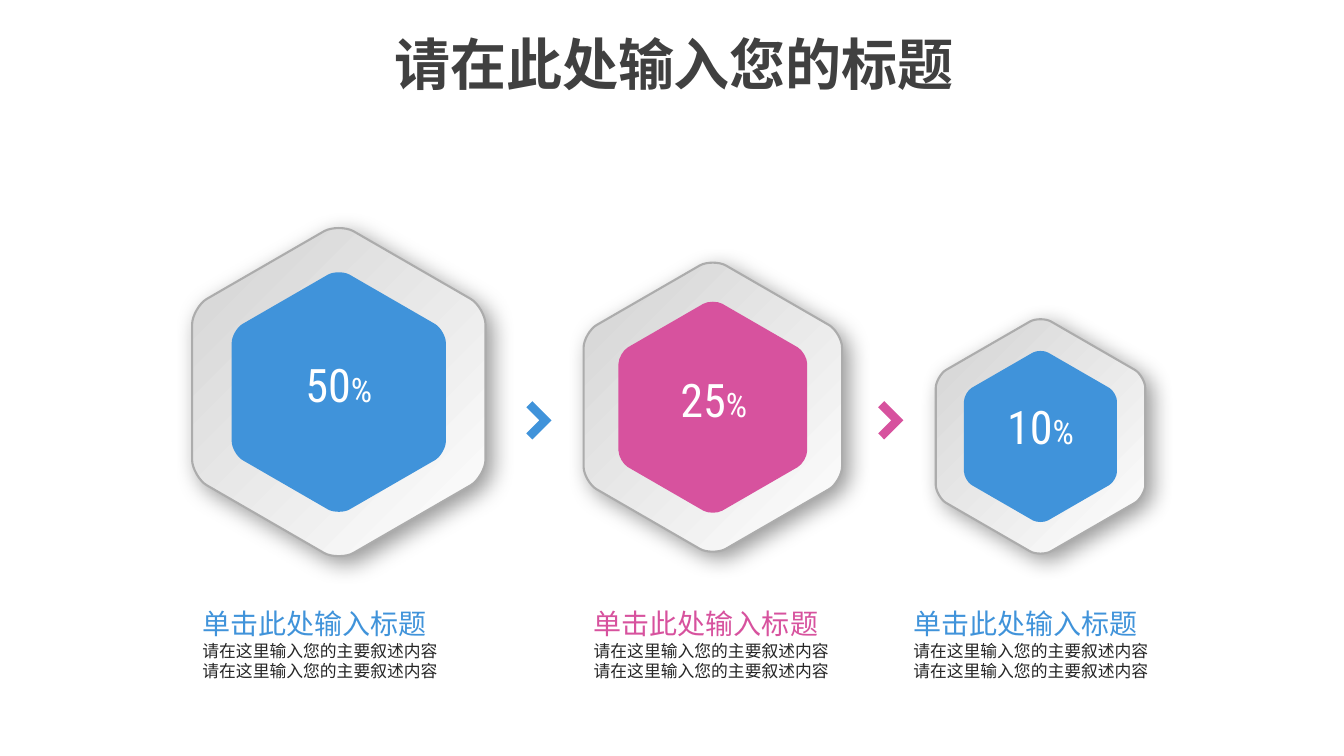
"""Three shrinking hexagons with percentages, chevrons and captions."""
from math import cos, radians, sin

from lxml import etree
from pptx import Presentation
from pptx import util as u
from pptx.dml.color import RGBColor
from pptx.enum import text
from pptx.oxml import ns

COLORS = {"blue": "4093DA", "pink": "D7529E", "title": "404040", "body": "262626",
          "white": "FFFFFF", "silver": "D3D3D3", "rim": "ACACAC", "shadow": "000000"}
CJK, LATIN = "Noto Sans CJK SC", "Roboto Condensed"
TITLE = "请在此处输入您的标题"
HEADING = "单击此处输入标题"
DETAIL = "请在这里输入您的主要叙述内容"
STAGES = [
    {"value": "25", "color": "pink", "center": (7.07, 4.04), "radius": 1.48, "label": (5.75, 3.63)},
    {"value": "10", "color": "blue", "center": (10.32, 4.33), "radius": 1.2, "label": (8.99, 3.9)},
    {"value": "50", "color": "blue", "center": (3.36, 3.89), "radius": 1.68, "label": (2.03, 3.49)},
]
CHEVRONS = [("blue", 5.22), ("pink", 8.71)]
CHEVRON_OUTLINE = [(0.25, 0), (0.06, -0.19), (0, -0.13), (0.13, 0), (0, 0.13), (0.06, 0.19)]
CHEVRON_MIDDLE = 4.17
INNER_SHARE = 0.73
CORNER_SHARE = 0.1
CAPTIONS = [("blue", 1.91), ("pink", 5.79), ("blue", 8.96)]
CAPTION_TOP = 5.97


def rgb(name):
    return RGBColor.from_string(COLORS[name])


def toward(start, end, share):
    return tuple(a + (b - a) * share for a, b in zip(start, end))


def add_outline(page, points, color):
    emu = [(u.Inches(x), u.Inches(y)) for x, y in points]
    builder = page.shapes.build_freeform(*emu[0])
    builder.add_line_segments(emu[1:], close=True)
    shape = builder.convert_to_shape()
    shape.shadow.inherit = False
    shape.fill.solid()
    shape.fill.fore_color.rgb = rgb(color)
    shape.line.fill.background()
    return shape


def add_hexagon(page, center, radius, color):
    """Draw a pointy-top hexagon whose corners are Bezier curves."""
    corners = [(center[0] + radius * cos(radians(60 * i - 90)),
                center[1] + radius * sin(radians(60 * i - 90))) for i in range(6)]
    points = []
    for i, corner in enumerate(corners):
        before, after = corners[i - 1], corners[(i + 1) % 6]
        points += [toward(corner, before, CORNER_SHARE), toward(corner, before, CORNER_SHARE / 2),
                   toward(corner, after, CORNER_SHARE / 2), toward(corner, after, CORNER_SHARE)]
    shape = add_outline(page, points, color)
    lines = list(shape.element.spPr.iter(ns.qn("a:lnTo")))
    for first in range(0, len(points) - 1, 4):
        curve = etree.Element(ns.qn("a:cubicBezTo"))
        lines[first].addprevious(curve)
        for line in lines[first:first + 3]:
            curve.append(line[0])
            line.getparent().remove(line)
    return shape


def style_rim(shape):
    shape.fill.gradient()
    shape.fill.gradient_angle = 315
    for stop, color, position in zip(shape.fill.gradient_stops, ("silver", "white"), (0, 1)):
        stop.color.rgb = rgb(color)
        stop.position = position
    shape.line.color.rgb = rgb("rim")
    shape.line.width = u.Pt(1.5)
    effects = shape.element.spPr.find(ns.qn("a:effectLst"))
    shadow = etree.SubElement(effects, ns.qn("a:outerShdw"), blurRad=str(u.Pt(16)),
                              dist=str(u.Pt(6)), dir=str(45 * 60000), algn="tl", rotWithShape="0")
    tint = etree.SubElement(shadow, ns.qn("a:srgbClr"), val=COLORS["shadow"])
    etree.SubElement(tint, ns.qn("a:alpha"), val="40000")


def add_text(page, lines, left, top, width, height, font=CJK, align=None, wrap=False, bold=None):
    """Place lines of (text, size, color) spans in a text box."""
    box = page.shapes.add_textbox(*map(u.Inches, (left, top, width, height)))
    frame = box.text_frame
    frame.word_wrap = wrap
    frame.auto_size = text.MSO_AUTO_SIZE.SHAPE_TO_FIT_TEXT
    for i, line in enumerate(lines):
        para = frame.add_paragraph() if i else frame.paragraphs[0]
        para.alignment = align
        for content, size, color in line:
            span = para.add_run()
            span.text = content
            span.font.name = font
            span.font.size = u.Pt(size)
            span.font.bold = bold
            span.font.color.rgb = rgb(color)


def main():
    deck = Presentation()
    deck.slide_width, deck.slide_height = u.Inches(13.33), u.Inches(7.5)
    page = deck.slides.add_slide(deck.slide_layouts[6])
    center = text.PP_ALIGN.CENTER

    add_text(page, [[(TITLE, 40, "title")]], 3.77, 0.24, 5.83, 0.77, align=center, bold=True)
    for stage in STAGES:
        style_rim(add_hexagon(page, stage["center"], stage["radius"], "silver"))
        add_hexagon(page, stage["center"], stage["radius"] * INNER_SHARE, stage["color"])
        add_text(page, [[(stage["value"], 33, "white"), ("%", 24, "white")]],
                 *stage["label"], 2.66, 0.83, font=LATIN, align=center, wrap=True)
    for color, left in CHEVRONS:
        add_outline(page, [(left + x, CHEVRON_MIDDLE + y) for x, y in CHEVRON_OUTLINE], color)
    detail = [(DETAIL, 12, "body")]
    for color, left in CAPTIONS:
        add_text(page, [[(HEADING, 20, color)], detail, detail], left, CAPTION_TOP, 2.56, 1.38)
    deck.save("out.pptx")


if __name__ == "__main__":
    main()
